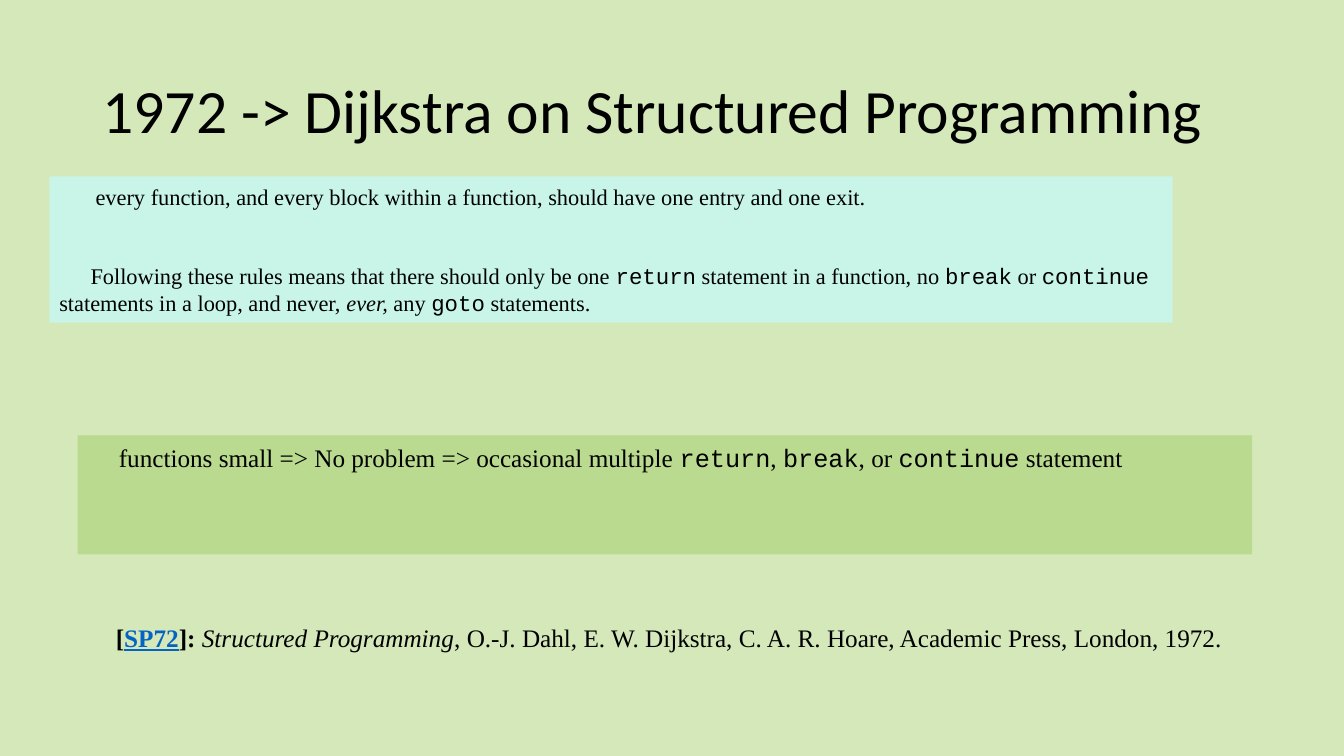
from pptx import Presentation
from pptx.dml.color import RGBColor
from pptx.enum.shapes import MSO_SHAPE
from pptx.enum.text import MSO_ANCHOR, PP_ALIGN
from pptx.util import Inches, Pt

COLORS = {"back": "D4E8BA", "mint": "C8F5E8", "green": "B9DA8F",
          "ink": "000000", "link": "0563C1"}
FONTS = {"head": "Calibri", "code": "Courier New"}
SERIF = "Times New Roman"

TITLE = [[("1972 -> Dijkstra on Structured Programming", "head")]]
RULES = [
    [("every function, and every block within a function, should have one entry and one exit.", "")],
    [("Following these rules means that there should only be one ", ""),
     ("return", "code"), (" statement in a function, no ", ""),
     ("break", "code"), (" or ", ""), ("continue", "code"),
     (" statements in a loop, and never, ", ""), ("ever,", "italic"),
     (" any ", ""), ("goto", "code"), (" statements.", "")],
]
SMALL = [[("functions small => No problem => occasional multiple ", ""),
          ("return", "code"), (", ", ""), ("break", "code"), (", or ", ""),
          ("continue", "code"), (" statement", "")]]
SOURCE = [[("[", "bold"), ("SP72", "bold link"), ("]: ", "bold"),
           ("Structured Programming", "italic"),
           (", O.-J. Dahl, E. W. Dijkstra, C. A. R. Hoare, Academic Press, London, 1972.", "")]]

BOXES = [
    {"at": (0.92, 0.4, 11.5, 1.45), "text": TITLE, "size": 44,
     "anchor": MSO_ANCHOR.MIDDLE, "line": 0.9},
    {"at": (0.49, 1.75, 11.14, 1.45), "text": RULES, "size": 16, "fill": "mint",
     "anchor": MSO_ANCHOR.MIDDLE, "indents": (0.36, 0.31), "gap": 37},
    {"at": (0.77, 4.32, 11.65, 1.18), "text": SMALL, "size": 18, "fill": "green",
     "indents": (0.31,), "top": 0.07},
    {"at": (1.05, 6.12, 11.65, 0.4), "text": SOURCE, "size": 18},
]


def color(name):
    return RGBColor.from_string(COLORS[name])


def add_run(para, text, style, size):
    marks = style.split()
    run = para.add_run()
    run.text = text
    font = run.font
    font.size = Pt(size)
    font.name = FONTS.get(style, SERIF)
    font.bold = "bold" in marks
    font.italic = "italic" in marks
    font.underline = "link" in marks
    font.color.rgb = color("link" if "link" in marks else "ink")


def add_box(slide, box):
    place = [Inches(n) for n in box["at"]]
    if "fill" in box:
        shape = slide.shapes.add_shape(MSO_SHAPE.RECTANGLE, *place)
        shape.shadow.inherit = False
        shape.fill.solid()
        shape.fill.fore_color.rgb = color(box["fill"])
        shape.line.fill.background()
    else:
        shape = slide.shapes.add_textbox(*place)
    frame = shape.text_frame
    frame.word_wrap = True
    frame.vertical_anchor = box.get("anchor", MSO_ANCHOR.TOP)
    frame.margin_top = Inches(box.get("top", 0.05))
    for i, runs in enumerate(box["text"]):
        para = frame.add_paragraph() if i else frame.paragraphs[0]
        para.alignment = PP_ALIGN.LEFT
        para.line_spacing = box.get("line", 1.0)
        if i:
            para.space_before = Pt(box["gap"])
        if "indents" in box:
            props = para._p.get_or_add_pPr()
            props.set("marL", "0")
            props.set("indent", str(Inches(box["indents"][i])))
        for text, style in runs:
            add_run(para, text, style, box["size"])


def main():
    deck = Presentation()
    deck.slide_width, deck.slide_height = Inches(13.33), Inches(7.5)
    slide = deck.slides.add_slide(deck.slide_layouts[6])
    slide.background.fill.solid()
    slide.background.fill.fore_color.rgb = color("back")
    for box in BOXES:
        add_box(slide, box)
    deck.save("out.pptx")


if __name__ == "__main__":
    main()
